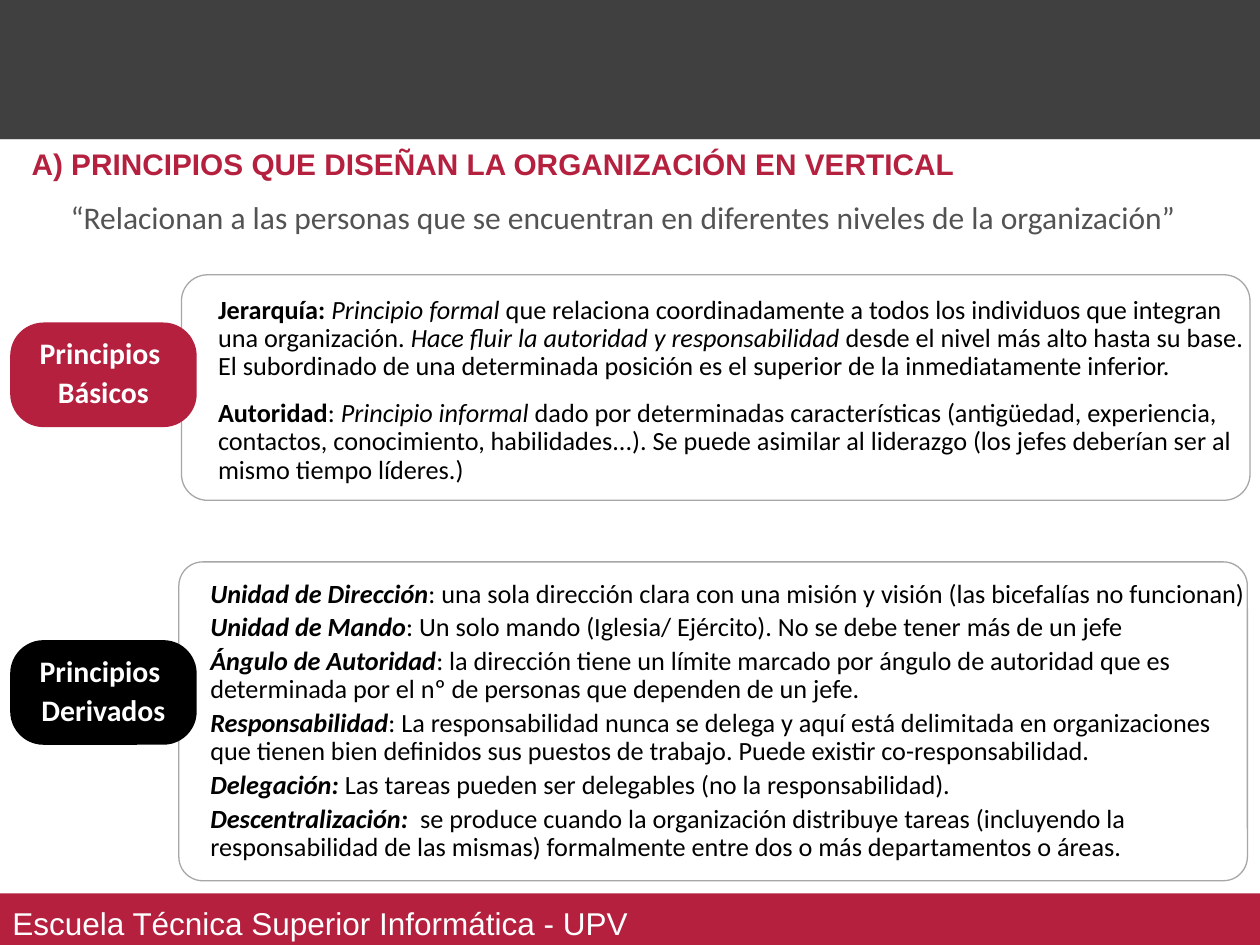
from pptx import Presentation
from pptx.dml.color import RGBColor
from pptx.enum import shapes, text
from pptx.util import Pt

WHITE = RGBColor(0xFF, 0xFF, 0xFF)
BLACK = RGBColor(0x00, 0x00, 0x00)
CHARCOAL = RGBColor(0x40, 0x40, 0x40)
GREY_TEXT = RGBColor(0x53, 0x53, 0x53)
GREY_LINE = RGBColor(0xA7, 0xA7, 0xA7)
PALE_LINE = RGBColor(0xD7, 0xD7, 0xD7)
CRIMSON = RGBColor(0xB5, 0x20, 0x3F)

RECT = shapes.MSO_SHAPE.RECTANGLE
ROUNDED = shapes.MSO_SHAPE.ROUNDED_RECTANGLE
MIDDLE = text.MSO_ANCHOR.MIDDLE
LEFT, CENTER = text.PP_ALIGN.LEFT, text.PP_ALIGN.CENTER

# Each paragraph is a list of (words, style); style holds "b" and/or "i"
HIERARCHY = [[
    ("Jerarquía: ", "b"), ("Principio formal ", "i"),
    ("que relaciona coordinadamente a todos los individuos que integran una organización. ", ""),
    ("Hace fluir la autoridad y responsabilidad", "i"),
    (" desde el nivel más alto hasta su base. El subordinado de una determinada posición "
     "es el superior de la inmediatamente inferior.", ""),
]]
AUTHORITY = [[
    ("Autoridad", "b"), (": ", ""), ("Principio informal ", "i"),
    ("dado por determinadas características (antigüedad, experiencia, contactos, conocimiento, "
     "habilidades...). Se puede asimilar al liderazgo (los jefes deberían ser al mismo tiempo "
     "líderes.)", ""),
]]
DERIVED = [[(term, "bi"), (meaning, "")] for term, meaning in (
    ("Unidad de Dirección",
     ": una sola dirección clara con una misión y visión (las bicefalías no funcionan)"),
    ("Unidad de Mando",
     ": Un solo mando (Iglesia/ Ejército). No se debe tener más de un jefe"),
    ("Ángulo de Autoridad",
     ": la dirección tiene un límite marcado por ángulo de autoridad que es determinada por "
     "el nº de personas que dependen de un jefe."),
    ("Responsabilidad",
     ": La responsabilidad nunca se delega y aquí está delimitada en organizaciones que tienen "
     "bien definidos sus puestos de trabajo. Puede existir co-responsabilidad."),
    ("Delegación: ",
     "Las tareas pueden ser delegables (no la responsabilidad)."),
    ("Descentralización:  ",
     "se produce cuando la organización distribuye tareas (incluyendo la responsabilidad de las "
     "mismas) formalmente entre dos o más departamentos o áreas."),
)]


def write(frame, paragraphs, size, color, font="Calibri", align=LEFT,
          anchor=MIDDLE, inset=3.6, spacing=0.9, gap=0):
    """Fill a text frame with paragraphs of styled runs."""
    frame.word_wrap = True
    frame.auto_size = text.MSO_AUTO_SIZE.NONE
    frame.vertical_anchor = anchor
    frame.margin_left = frame.margin_right = Pt(inset)
    frame.margin_top = frame.margin_bottom = Pt(inset)
    for index, runs in enumerate(paragraphs):
        paragraph = frame.add_paragraph() if index else frame.paragraphs[0]
        paragraph.alignment = align
        paragraph.line_spacing = spacing
        paragraph.space_before = Pt(gap if index else 0)
        for words, style in runs:
            run = paragraph.add_run()
            run.text = words
            run.font.name = font
            run.font.size = Pt(size)
            run.font.color.rgb = color
            run.font.bold = "b" in style
            run.font.italic = "i" in style


def add_block(slide, kind, box, fill=None, line=None, radius=None):
    block = slide.shapes.add_shape(kind, *map(Pt, box))
    block.shadow.inherit = False
    if fill is None:
        block.fill.background()
    else:
        block.fill.solid()
        block.fill.fore_color.rgb = fill
    if line is None:
        block.line.fill.background()
    else:
        block.line.color.rgb = line
        block.line.width = Pt(0.75)
    if radius is not None:
        block.adjustments[0] = radius
    return block


def add_text(slide, box, paragraphs, size, color, **options):
    area = slide.shapes.add_textbox(*map(Pt, box))
    write(area.text_frame, paragraphs, size, color, **options)


def add_header(slide, box):
    left, top, width, height = box
    add_block(slide, RECT, box, CHARCOAL)
    rule = slide.shapes.add_connector(
        shapes.MSO_CONNECTOR.STRAIGHT,
        Pt(left), Pt(top + height), Pt(left + width), Pt(top + height))
    rule.line.color.rgb = PALE_LINE
    rule.line.width = Pt(0.75)
    properties = rule._element.spPr
    properties.append(properties.makeelement(
        "{http://schemas.openxmlformats.org/drawingml/2006/main}effectLst", {}))


def add_footer(slide, box):
    band = add_block(slide, RECT, box, CRIMSON)
    write(band.text_frame, [[("Escuela Técnica Superior Informática - UPV", "")]],
          18, WHITE, font="Arial", inset=7.2, spacing=1)


def add_heading(slide, box):
    title = slide.shapes.title
    title.left, title.top, title.width, title.height = map(Pt, box)
    write(title.text_frame,
          [[("A) PRINCIPIOS QUE DISEÑAN LA ORGANIZACIÓN EN VERTICAL", "b")]],
          17, CRIMSON, font="Arial", anchor=text.MSO_ANCHOR.TOP, spacing=1)
    left, top, width, height = box
    add_text(slide, (left + 22.3, top + 32.4, width - 22.3, 25.2),
             [[("“Relacionan a las personas que se encuentran en diferentes niveles "
                "de la organización”", "")]],
             18, GREY_TEXT, anchor=text.MSO_ANCHOR.TOP)


def add_label(slide, top, name, fill):
    label = add_block(slide, ROUNDED, (5.8, top, 106.6, 59.8), fill, radius=0.319)
    write(label.text_frame, [[("Principios ", "b")], [(name, "b")]],
          17, WHITE, align=CENTER, gap=4)


def add_basic_principles(slide, box):
    left, top, width, height = box
    add_block(slide, ROUNDED, box, line=GREY_LINE, radius=0.116)
    add_text(slide, (left + 17.3, top + 3.6, 594.7, 66.2), HIERARCHY, 15, BLACK)
    add_text(slide, (left + 17.3, top + 69.8, 594.7, 51.8), AUTHORITY, 15, BLACK)
    add_label(slide, top + 27.3, "Básicos", CRIMSON)


def add_derived_principles(slide, box):
    left, top, width, height = box
    add_block(slide, ROUNDED, box, WHITE, GREY_LINE, radius=0.075)
    add_text(slide, (left + 14.4, top, 600.5, height), DERIVED, 15, BLACK, gap=3)
    add_label(slide, top + 44.7, "Derivados", BLACK)


def main():
    deck = Presentation()
    deck.slide_width, deck.slide_height = Pt(720), Pt(540)
    slide = deck.slides.add_slide(deck.slide_layouts[5])

    add_header(slide, (0, 0, 720, 79.9))
    add_footer(slide, (0, 510.5, 720, 33.8))
    add_heading(slide, (14.4, 79.9, 690.5, 67.7))
    add_basic_principles(slide, (103.7, 157, 610.6, 128.9))
    add_derived_principles(slide, (102.2, 321.1, 610.6, 182.2))

    deck.save("out.pptx")


if __name__ == "__main__":
    main()
